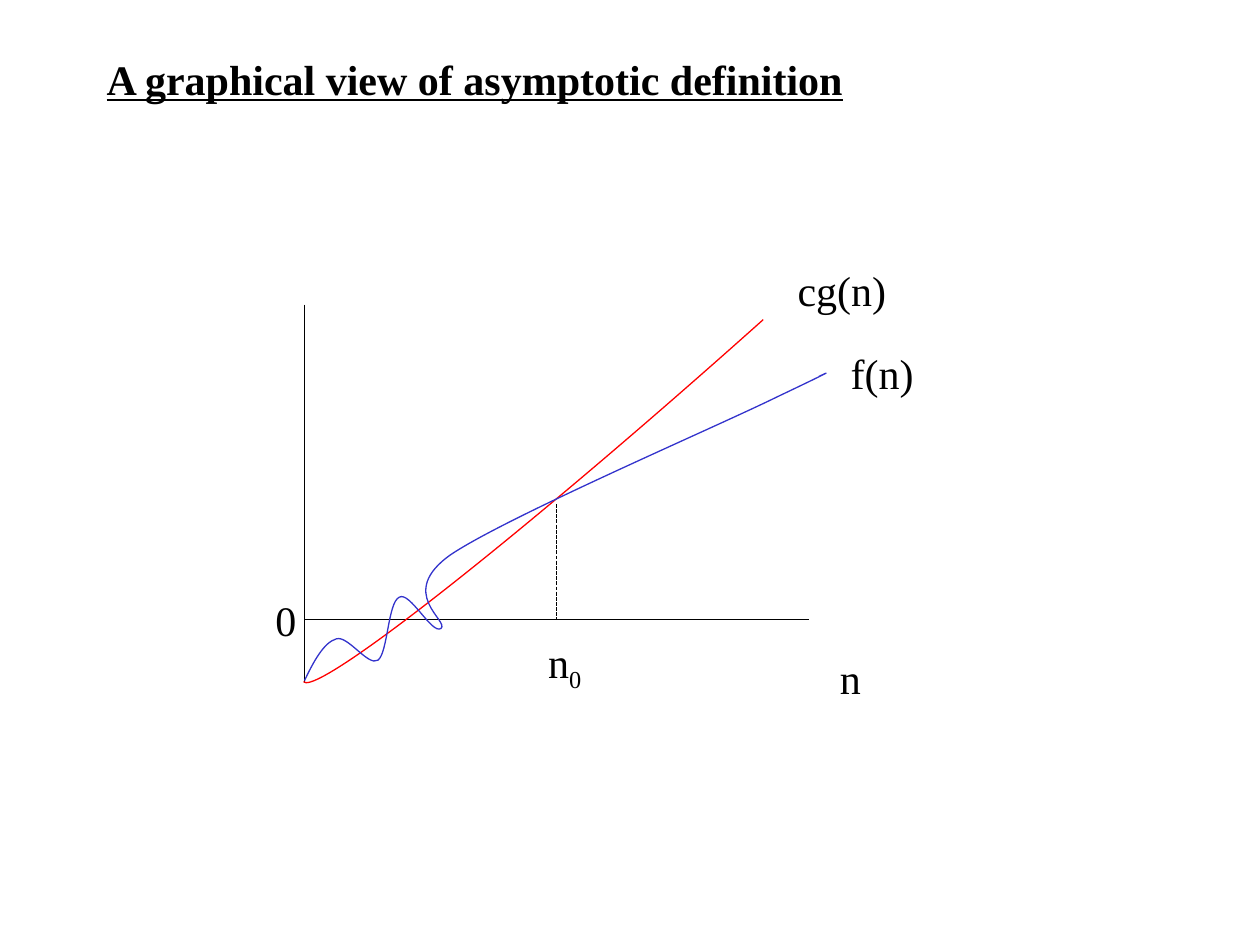
import pptx
import pptx.dml.color
import pptx.enum.dml
import pptx.enum.shapes
import pptx.enum.text
import pptx.oxml
import pptx.oxml.ns
import pptx.util
from pptx.util import Cm

BLACK, RED, BLUE = "000000", "FF0000", "3333CC"
TITLE = ("A graphical view of asymptotic definition", 1.9, 0.85, 17.15, 1.47)

# text, subscript, left, top, width, height (cm)
LABELS = [
    ("cg(n)", "", 15.83, 5.21, 2.29, 1.27),
    ("f(n)", "", 16.9, 6.89, 1.78, 1.27),
    ("n", "0", 10.8, 12.7, 1.22, 1.42),
    ("n", "", 16.68, 13.03, 0.91, 1.27),
    ("0", "", 5.3, 11.86, 0.91, 1.27),
]

AXIS_X, AXIS_Y = 6.14, 12.49
CROSSING = (11.22, 10.16)
# start, end, dashed
LINES = [
    ((AXIS_X, 6.14), (AXIS_X, 13.76), False),
    ((AXIS_X, AXIS_Y), (16.3, AXIS_Y), False),
    (CROSSING, (CROSSING[0], AXIS_Y), True),
]

# left, top, width, height of the flat ellipse whose quarter is cg(n)
CG_ARC = (3.12, 5.16, 23.55, 1.47)
CG_ROTATION = 138.2

F_START = (AXIS_X, 13.72)
# two control points and an end point for each cubic segment
F_SEGMENTS = [
    ((6.32, 13.34), (6.53, 12.95), (6.78, 12.88)),
    ((7.01, 12.8), (7.42, 13.44), (7.62, 13.31)),
    ((7.82, 13.16), (7.82, 12.14), (8.05, 12.04)),
    ((8.26, 11.91), (8.71, 12.8), (8.89, 12.67)),
    ((9.07, 12.52), (7.98, 11.96), (9.09, 11.18)),
    ((10.24, 10.41), (14.43, 8.61), (15.67, 8.0)),
    ((16.89, 7.42), (16.71, 7.49), (16.51, 7.59)),
]


def rgb(colour):
    return pptx.dml.color.RGBColor.from_string(colour)


def style_line(line, colour):
    line.color.rgb = rgb(colour)
    line.width = pptx.util.Pt(0.75)


def style_curve(curve, colour):
    curve.fill.background()
    curve.shadow.inherit = False
    style_line(curve.line, colour)


def add_text(slide, text, left, top, width, height, subscript=""):
    box = slide.shapes.add_textbox(Cm(left), Cm(top), Cm(width), Cm(height))
    paragraph = box.text_frame.paragraphs[0]
    paragraph.add_run().text = text
    if subscript:
        run = paragraph.add_run()
        run.text = subscript
        run.font._element.set("baseline", "-25000")
    paragraph.font.name = "Times New Roman"
    paragraph.font.size = pptx.util.Pt(24)
    paragraph.font.color.rgb = rgb(BLACK)
    return box.text_frame


def add_line(slide, start, end, dashed):
    line = slide.shapes.add_connector(
        pptx.enum.shapes.MSO_CONNECTOR.STRAIGHT, *(Cm(v) for v in start + end))
    style_line(line.line, BLACK)
    if dashed:
        line.line.dash_style = pptx.enum.dml.MSO_LINE.SQUARE_DOT
    line._element.spPr.append(pptx.oxml.parse_xml(
        '<a:effectLst xmlns:a="http://schemas.openxmlformats.org/drawingml/2006/main"/>'))


def add_arc(slide, frame, rotation, colour):
    arc = slide.shapes.add_shape(
        pptx.enum.shapes.MSO_SHAPE.ARC, *(Cm(v) for v in frame))
    arc.rotation = rotation
    style_curve(arc, colour)


def add_cubic_curve(slide, start, segments, colour):
    """Draw straight steps through all control points, then join each three into a cubic."""
    builder = slide.shapes.build_freeform(*(Cm(v) for v in start))
    builder.add_line_segments(
        [(Cm(x), Cm(y)) for segment in segments for x, y in segment], close=False)
    curve = builder.convert_to_shape()
    qn = pptx.oxml.ns.qn
    steps = list(curve._element.iter(qn("a:lnTo")))
    outline = steps[0].getparent()
    for first in range(0, len(steps), 3):
        cubic = outline.makeelement(qn("a:cubicBezTo"), {})
        outline.append(cubic)
        for step in steps[first:first + 3]:
            cubic.append(step[0])
            outline.remove(step)
    style_curve(curve, colour)


def main():
    deck = pptx.Presentation()
    deck.slide_width, deck.slide_height = Cm(25.4), Cm(19.05)
    slide = deck.slides.add_slide(deck.slide_layouts[6])

    title = add_text(slide, *TITLE)
    title.word_wrap = True
    title.vertical_anchor = pptx.enum.text.MSO_ANCHOR.MIDDLE
    title.paragraphs[0].font.bold = True
    title.paragraphs[0].font.underline = True

    *axes, threshold = LINES
    for axis in axes:
        add_line(slide, *axis)
    add_arc(slide, CG_ARC, CG_ROTATION, RED)
    add_cubic_curve(slide, F_START, F_SEGMENTS, BLUE)
    add_line(slide, *threshold)
    for text, subscript, *place in LABELS:
        add_text(slide, text, *place, subscript=subscript)

    deck.save("out.pptx")


if __name__ == "__main__":
    main()
